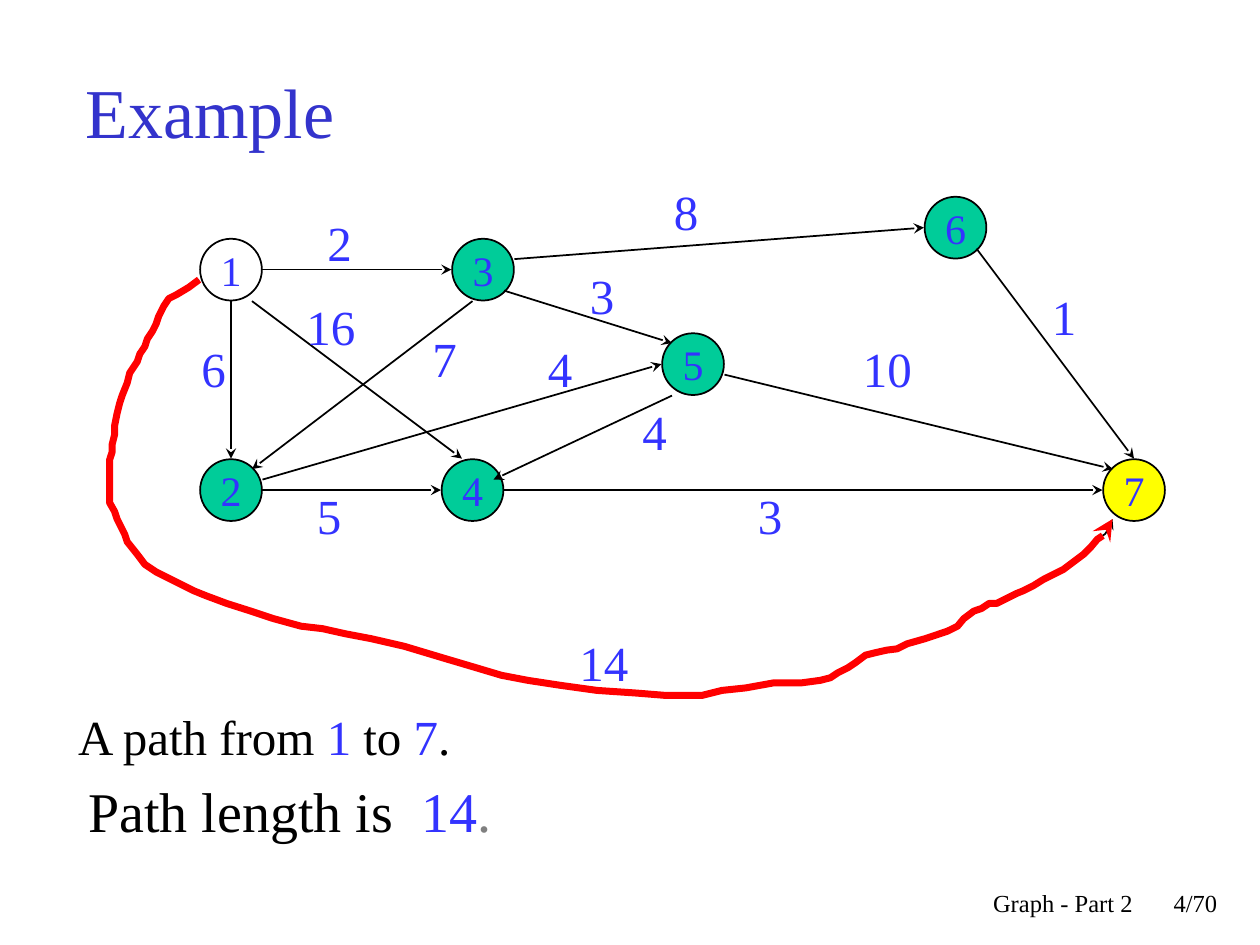
from pptx import Presentation
from pptx.dml.color import RGBColor
from pptx.enum.shapes import MSO_CONNECTOR, MSO_SHAPE
from pptx.enum.text import MSO_ANCHOR, MSO_AUTO_SIZE, PP_ALIGN
from pptx.oxml.ns import qn
from pptx.util import Inches, Pt
from lxml import etree

LEFT, CENTER, RIGHT = PP_ALIGN.LEFT, PP_ALIGN.CENTER, PP_ALIGN.RIGHT
TOP, MIDDLE = MSO_ANCHOR.TOP, MSO_ANCHOR.MIDDLE
NO_FIT = MSO_AUTO_SIZE.NONE
STRAIGHT, OVAL = MSO_CONNECTOR.STRAIGHT, MSO_SHAPE.OVAL

FONT = "Times New Roman"
BLACK, BLUE, RED = "000000", "3333FF", "FF0000"
GREEN, WHITE, YELLOW, GRAY = "00CC99", "FFFFFF", "FFFF00", "808080"
TITLE_BLUE = "3333CC"

CELLS_PER_INCH = 12
GRAPH_TOP = 1.39
NODE_SIZE = 0.49

TITLE = [("Example", TITLE_BLUE)]
SENTENCES = [
    ((0.51, 5.56, 9, 0.37), 28,
     [("A path from ", BLACK), ("1", BLUE), (" to ", BLACK), ("7", BLUE), (".", BLACK)]),
    ((0.59, 6.11, 8.5, 0.33), 32,
     [("Path length is  ", BLACK), ("14", BLUE), (".", GRAY)]),
]
FOOTERS = [
    ((9.08, 7, 0.68, 0.5), "4/70"),
    ((5.92, 7, 3.17, 0.5), "Graph - Part 2"),
]

NODES = [
    ("1", 22, 9, WHITE),
    ("2", 22, 30, GREEN),
    ("3", 46, 9, GREEN),
    ("4", 45, 30, GREEN),
    ("5", 66, 18, GREEN),
    ("6", 91, 5, GREEN),
    ("7", 108, 30, YELLOW),
]
EDGES = [
    ((22, 12), (22, 27), "6", (18, 15)),
    ((25, 30), (42, 30), "5", (29, 29)),
    ((25, 9), (43, 9), "2", (30, 3)),
    ((24, 12), (44, 27), "16", (28, 11)),
    ((45, 12), (24, 28), "7", (40, 14)),
    ((48, 11), (64, 16), "3", (55, 8)),
    ((25, 29), (63, 18), "4", (51, 15)),
    ((64, 21), (47, 29), "4", (60, 21)),
    ((48, 30), (105, 30), "3", (71, 29)),
    ((69, 19), (106, 28), "10", (81, 15)),
    ((49, 8), (88, 5), "8", (63, 0)),
    ((93, 7), (108, 27), "1", (99, 10)),
]
PATH_LABEL = ("14", (54, 43))
PATH_HUNDREDTHS = [
    (158, 222), (150, 228), (140, 234), (134, 237), (130, 243), (126, 251),
    (124, 257), (121, 263), (117, 269), (115, 275), (111, 281), (109, 287),
    (103, 296), (101, 304), (97, 314), (95, 320), (93, 328), (91, 338),
    (91, 345), (89, 353), (89, 359), (87, 365), (87, 399), (91, 406),
    (93, 412), (99, 424), (101, 430), (109, 440), (115, 448), (124, 454),
    (136, 460), (144, 464), (154, 469), (164, 473), (180, 479), (199, 485),
    (217, 491), (239, 497), (256, 499), (274, 503), (295, 507), (321, 513),
    (351, 522), (378, 530), (398, 536), (419, 540), (445, 544), (474, 548),
    (504, 550), (529, 552), (557, 552), (573, 548), (592, 546), (614, 542),
    (636, 542), (651, 540), (659, 538), (665, 534), (673, 530), (679, 526),
    (687, 520), (695, 518), (704, 516), (712, 515), (720, 511), (734, 507),
    (746, 503), (752, 501), (760, 497), (765, 491), (773, 485), (779, 483),
    (785, 479), (791, 479), (799, 475), (807, 471), (812, 469), (820, 465),
    (828, 460), (836, 456), (844, 452), (852, 446), (860, 440), (866, 434),
    (871, 428), (877, 424), (881, 418), (883, 412),
]


def rgb(value):
    return RGBColor.from_string(value)


def on_grid(column, row):
    return column / CELLS_PER_INCH, GRAPH_TOP + row / CELLS_PER_INCH


def place(part, box):
    part.left, part.top, part.width, part.height = map(Inches, box)


def write(part, runs, size=28, align=LEFT, anchor=TOP, hanging=False):
    frame = part.text_frame
    frame.word_wrap = True
    frame.auto_size = NO_FIT
    frame.vertical_anchor = anchor
    paragraph = frame.paragraphs[0]
    paragraph.alignment = align
    paragraph.space_before = Pt(0)
    if hanging:
        properties = paragraph._p.get_or_add_pPr()
        properties.set("marL", str(Inches(0.38)))
        properties.set("indent", str(Inches(-0.37)))
        etree.SubElement(properties, qn("a:buNone"))
    for words, color in runs:
        run = paragraph.add_run()
        run.text = words
        run.font.name = FONT
        run.font.size = Pt(size)
        run.font.color.rgb = rgb(color)


def add_label(slide, box, words, **style):
    label = slide.shapes.add_textbox(*map(Inches, box))
    write(label, [(words, style.pop("color", BLUE))], **style)


def add_weight(slide, words, cell):
    width = 0.42 if len(words) == 1 else 0.67
    add_label(slide, (*on_grid(*cell), width, 0.57), words)


def add_node(slide, name, column, row, color):
    x, y = on_grid(column, row)
    corner = (x - NODE_SIZE / 2, y - NODE_SIZE / 2, NODE_SIZE, NODE_SIZE)
    node = slide.shapes.add_shape(OVAL, *map(Inches, corner))
    node.shadow.inherit = False
    node.fill.solid()
    node.fill.fore_color.rgb = rgb(color)
    node.line.color.rgb = rgb(BLACK)
    node.line.width = Pt(1)
    frame = node.text_frame
    frame.margin_left = frame.margin_right = frame.margin_top = frame.margin_bottom = 0
    write(node, [(name, BLUE)], size=24, align=CENTER, anchor=MIDDLE)


def style_arrow(arrow, color, width):
    arrow.line.color.rgb = rgb(color)
    arrow.line.width = Pt(width)
    properties = arrow._element.spPr
    etree.SubElement(properties.find(qn("a:ln")), qn("a:tailEnd"), type="stealth")
    if properties.find(qn("a:effectLst")) is None:
        etree.SubElement(properties, qn("a:effectLst"))


def add_edge(slide, start, end):
    ends = (*on_grid(*start), *on_grid(*end))
    style_arrow(slide.shapes.add_connector(STRAIGHT, *map(Inches, ends)), BLACK, 1)


def add_path(slide, color, width):
    builder = slide.shapes.build_freeform(*PATH_HUNDREDTHS[0], scale=Inches(0.01))
    builder.add_line_segments(PATH_HUNDREDTHS[1:], close=False)
    route = builder.convert_to_shape()
    route.fill.background()
    style_arrow(route, color, width)


def main():
    deck = Presentation()
    deck.slide_width, deck.slide_height = Inches(10), Inches(7.5)
    slide = deck.slides.add_slide(deck.slide_layouts[3])
    title, *bodies = slide.placeholders
    place(title, (0.58, 0.25, 8.5, 1.25))
    write(title, TITLE, size=40, anchor=MIDDLE)
    for body, (box, size, runs) in zip(bodies, SENTENCES):
        place(body, box)
        write(body, runs, size=size, hanging=True)
    for node in NODES:
        add_node(slide, *node)
    for start, end, _, _ in EDGES:
        add_edge(slide, start, end)
    add_path(slide, BLACK, 1)
    for _, _, weight, cell in EDGES:
        add_weight(slide, weight, cell)
    add_weight(slide, *PATH_LABEL)
    add_path(slide, RED, 4)
    for box, words in FOOTERS:
        add_label(slide, box, words, color=BLACK, size=14, align=RIGHT)
    deck.save("out.pptx")


if __name__ == "__main__":
    main()
